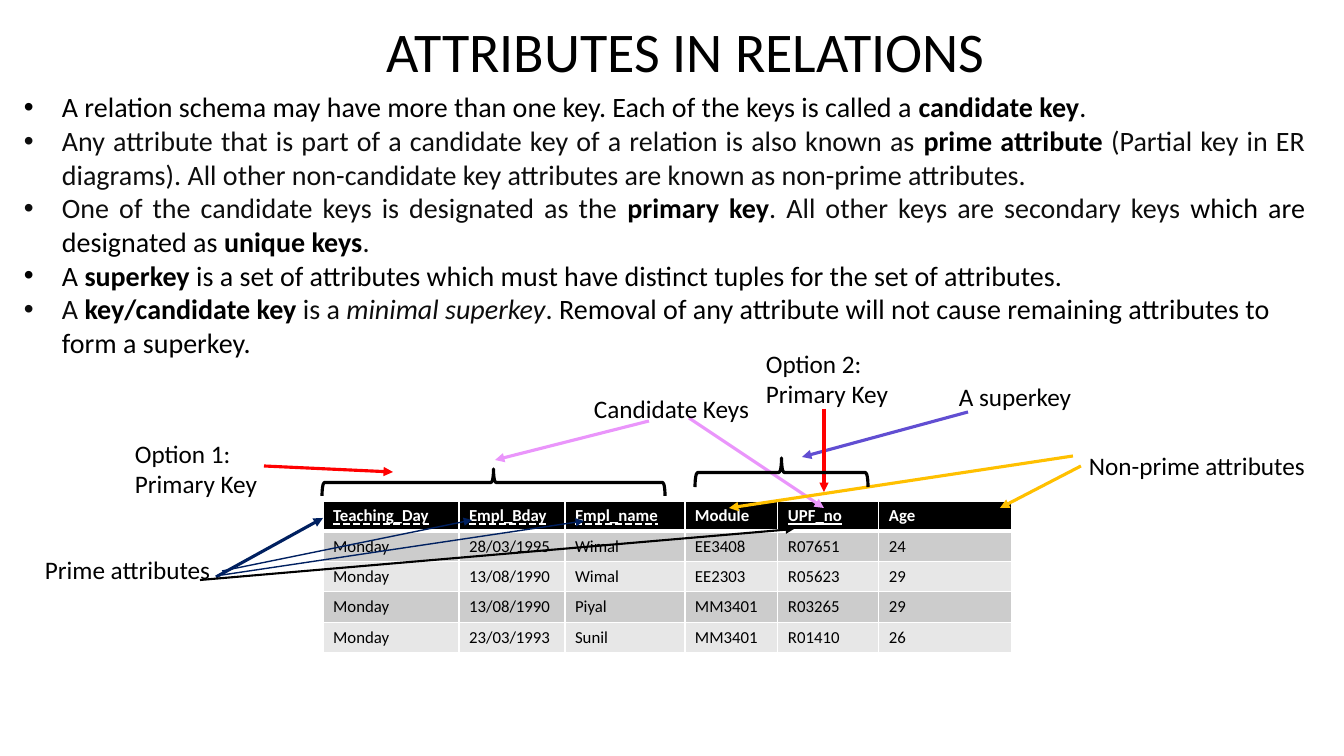
"""Build the slide on attributes in relations."""
from lxml import etree
from pptx import Presentation
from pptx import util as u
from pptx.dml.color import RGBColor
from pptx.enum import shapes, text
from pptx.oxml import ns

PX = 914400 / 100.8
THEME = {
    "font": "Calibri",
    "ink": "000000", "soft": "0D0D0D", "white": "FFFFFF",
    "bands": ("CCCCCC", "E7E7E7"),
    "pink": "EA95FB", "red": "FF0000", "violet": "614ED2", "gold": "FFC000", "navy": "002060",
    "title": 40, "body": 20, "label": 18, "cell": 12,
}
INK, SOFT = {"color": "ink"}, {"color": "soft"}
BOLD, ITALIC = {"color": "ink", "bold": True}, {"color": "soft", "italic": True}
LEFT, JUSTIFY = text.PP_ALIGN.LEFT, text.PP_ALIGN.JUSTIFY
DASHED, SOLID = text.MSO_UNDERLINE.DASH_LINE, text.MSO_UNDERLINE.SINGLE_LINE

TITLE = "ATTRIBUTES IN RELATIONS"
TITLE_BOX = (131, 22, 1109, 64)
BODY_BOX = (14, 85, 1301, 281)
BULLET_INDENT = 38
BULLETS = [
    (LEFT, [("A relation schema may have more than one key. Each of the keys is called a ", INK),
            ("candidate key", BOLD), (".", INK)]),
    (JUSTIFY, [("Any attribute that is part of a candidate key of a relation is also known as ", SOFT),
               ("prime attribute ", BOLD),
               ("(Partial key in ER diagrams). All other non-candidate key attributes are known as "
                "non-prime attributes.", SOFT)]),
    (JUSTIFY, [("One of the candidate keys is designated as the ", SOFT), ("primary key", BOLD),
               (". All other keys are secondary keys ", SOFT), ("which are designated as ", INK),
               ("unique keys", BOLD), (".", SOFT)]),
    (LEFT, [("A ", INK), ("superkey", BOLD),
            (" is a set of attributes which must have distinct tuples for the set of attributes.", INK)]),
    (LEFT, [("A ", SOFT), ("key/candidate key", BOLD), (" is a ", SOFT), ("minimal superkey", ITALIC),
            (". ", SOFT),
            ("Removal of any attribute will not cause remaining attributes to form a superkey.", INK)]),
]

TABLE_AT = (323, 501)
ROW_HEIGHT = 30
COLUMNS = [("Teaching_Day", 136, DASHED), ("Empl_Bday", 106, DASHED), ("Empl_name", 120, DASHED),
           ("Module", 93, False), ("UPF_no", 101, SOLID), ("Age", 133, False)]
ROWS = [
    ("Monday", "28/03/1995", "Wimal", "EE3408", "R07651", "24"),
    ("Monday", "13/08/1990", "Wimal", "EE2303", "R05623", "29"),
    ("Monday", "13/08/1990", "Piyal", "MM3401", "R03265", "29"),
    ("Monday", "23/03/1993", "Sunil", "MM3401", "R01410", "26"),
]

LABEL_WIDTH, LABEL_LINE, LABEL_PADDING = 240, 30, 12
LABELS = [
    (584, 388, ["Candidate Keys"]),
    (125, 433, ["Option 1:", "Primary Key"]),
    (949, 376, ["A superkey"]),
    (1079, 445, ["Non-prime attributes"]),
    (35, 549, ["Prime attributes"]),
    (756, 343, ["Option 2:", "Primary Key"]),
]
BRACES = [(767, 386, 29, 173), (480, 311, 27, 343)]
ARROWS = [
    ((689, 418), (824, 508), "pink", 2.25),
    ((649, 421), (495, 460), "pink", 2.25),
    ((264, 466), (393, 472), "red", 2.25),
    ((968, 412), (802, 457), "violet", 2.25),
    ((1081, 466), (1000, 508), "gold", 2.25),
    ((1073, 456), (729, 508), "gold", 2.25),
    ((216, 577), (323, 518), "navy", 2.25),
    ((222, 571), (472, 520), "navy", 1),
    ((200, 580), (794, 529), "ink", 1.5),
    ((222, 575), (584, 521), "navy", 1),
    ((824, 409), (824, 492), "red", 2.25),
]


def px(*lengths):
    return [u.Emu(round(length * PX)) for length in lengths]


def rgb(name):
    return RGBColor.from_string(THEME.get(name, name))


def apply(target, values):
    for name, value in values.items():
        setattr(target, name, value)


def child(parent, tag, **attributes):
    return etree.SubElement(parent, ns.qn(tag), attributes)


def write(para, words, size, color="ink", **style):
    span = para.add_run()
    span.text = words
    apply(span.font, {"name": THEME["font"], "size": u.Pt(THEME[size]), **style})
    span.font.color.rgb = rgb(color)


def add_title(slide):
    box = slide.shapes.title
    apply(box, dict(zip(("left", "top", "width", "height"), px(*TITLE_BOX))))
    apply(box.text_frame, {"auto_size": text.MSO_AUTO_SIZE.NONE, "word_wrap": True,
                           "vertical_anchor": text.MSO_ANCHOR.MIDDLE})
    para = box.text_frame.paragraphs[0]
    apply(para, {"alignment": text.PP_ALIGN.CENTER, "line_spacing": 0.9})
    write(para, TITLE, "title")


def add_text(slide, frame, paragraphs, size, bullet=False):
    box = slide.shapes.add_textbox(*px(*frame))
    box.text_frame.word_wrap = True
    for index, (alignment, spans) in enumerate(paragraphs):
        para = box.text_frame.add_paragraph() if index else box.text_frame.paragraphs[0]
        para.alignment = alignment
        if bullet:
            indent = px(BULLET_INDENT)[0]
            properties = para._p.get_or_add_pPr()
            properties.set("marL", str(indent))
            properties.set("indent", str(-indent))
            child(properties, "a:buFont", typeface="Arial")
            child(properties, "a:buChar", char="•")
        for words, style in spans:
            write(para, words, size, **style)


def paint_cell(cell, fill, bottom):
    properties = cell._tc.get_or_add_tcPr()
    for side, points in (("L", 1), ("R", 1), ("T", 1), ("B", bottom)):
        line = child(properties, f"a:ln{side}", w=str(u.Pt(points)))
        child(child(line, "a:solidFill"), "a:srgbClr", val=THEME["white"])
    cell.fill.solid()
    cell.fill.fore_color.rgb = rgb(fill)


def add_relation(slide):
    size = (sum(width for _, width, _ in COLUMNS), ROW_HEIGHT * (len(ROWS) + 1))
    table = slide.shapes.add_table(len(ROWS) + 1, len(COLUMNS), *px(*TABLE_AT, *size)).table
    for row in table.rows:
        row.height = px(ROW_HEIGHT)[0]
    for column, (heading, width, underline) in enumerate(COLUMNS):
        table.columns[column].width = px(width)[0]
        header = table.cell(0, column)
        paint_cell(header, "ink", 3)
        write(header.text_frame.paragraphs[0], heading, "cell", "white", bold=True, underline=underline)
        for index, record in enumerate(ROWS):
            cell = table.cell(index + 1, column)
            paint_cell(cell, THEME["bands"][index % 2], 1)
            write(cell.text_frame.paragraphs[0], record[column], "cell", bold=False)


def add_arrow(slide, start, end, color, weight):
    arrow = slide.shapes.add_connector(shapes.MSO_CONNECTOR.STRAIGHT, *px(*start, *end))
    arrow.line.color.rgb = rgb(color)
    arrow.line.width = u.Pt(weight)
    child(arrow.line._get_or_add_ln(), "a:tailEnd", type="triangle")
    child(arrow._element.spPr, "a:effectLst")


def add_brace(slide, frame):
    brace = slide.shapes.add_shape(shapes.MSO_SHAPE.LEFT_BRACE, *px(*frame))
    brace.rotation = 90
    brace.shadow.inherit = False
    brace.fill.background()
    brace.line.color.rgb = rgb("ink")
    brace.line.width = u.Pt(2.25)


def main():
    deck = Presentation()
    deck.slide_width, deck.slide_height = px(1344, 756)
    slide = deck.slides.add_slide(deck.slide_layouts[5])
    add_title(slide)
    add_text(slide, BODY_BOX, BULLETS, "body", bullet=True)
    add_relation(slide)
    for arrow in ARROWS:
        add_arrow(slide, *arrow)
    for left, top, lines in LABELS:
        frame = (left, top, LABEL_WIDTH, LABEL_LINE * len(lines) + LABEL_PADDING)
        add_text(slide, frame, [(LEFT, [(line, INK)]) for line in lines], "label")
    for frame in BRACES:
        add_brace(slide, frame)
    deck.save("out.pptx")


if __name__ == "__main__":
    main()
